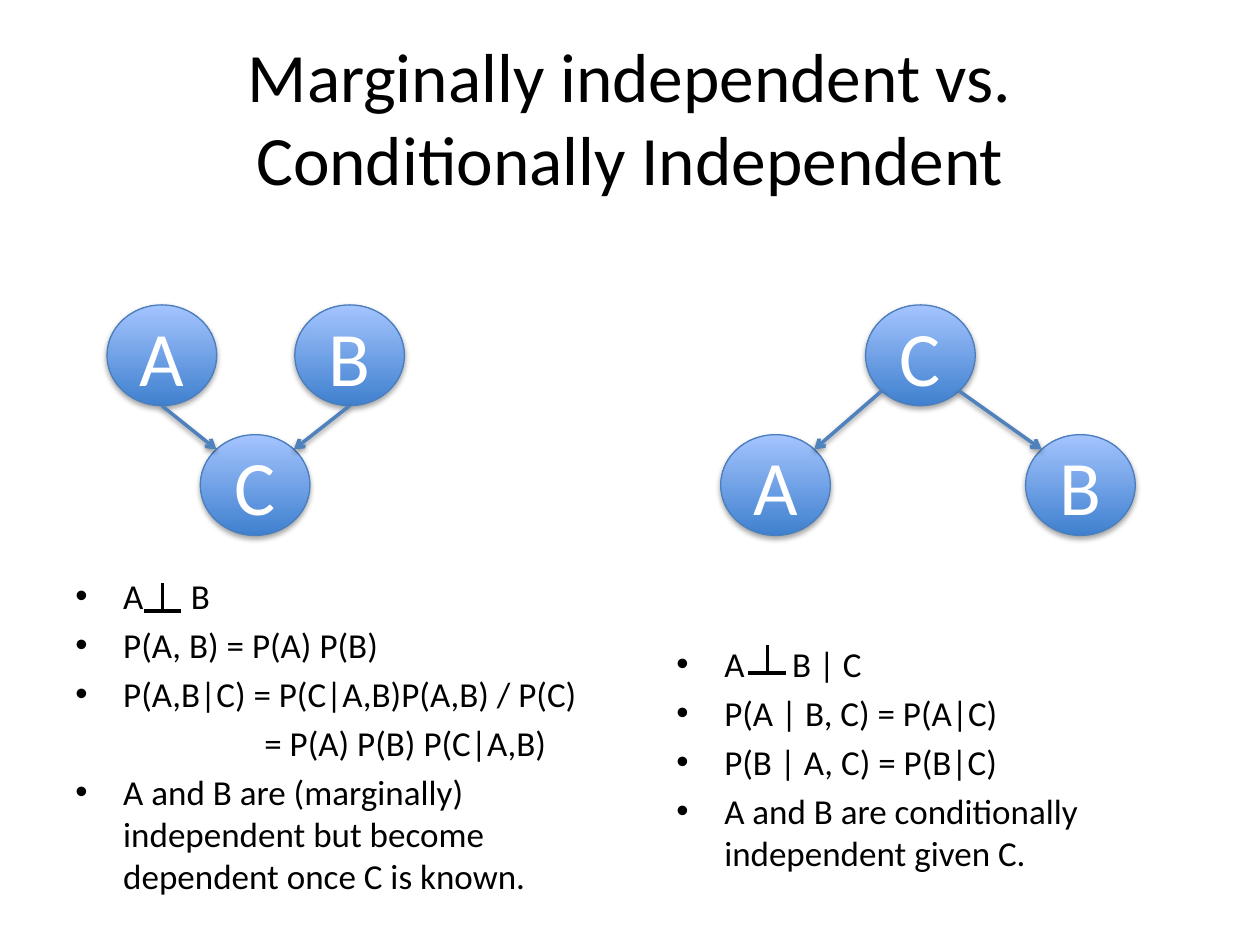
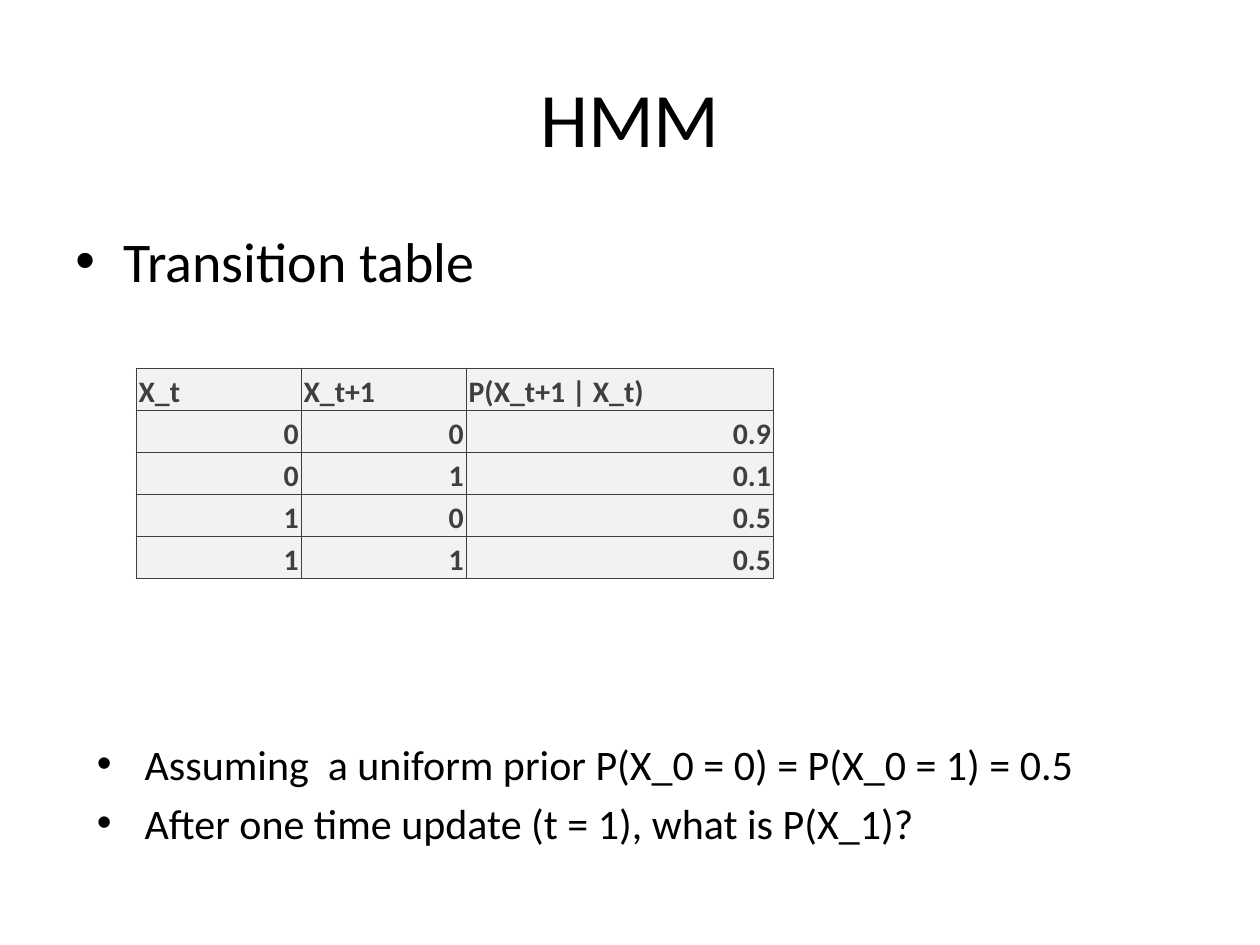
"""Build two slides on conditional independence and an HMM transition table."""
from math import cos, radians, sin

from lxml.etree import SubElement
from pptx import Presentation
from pptx.dml.color import RGBColor
from pptx.enum.shapes import MSO_CONNECTOR as Connector, MSO_SHAPE as Preset
from pptx.enum.text import MSO_ANCHOR as Anchor, PP_ALIGN as Align
from pptx.oxml.ns import qn
from pptx.util import Inches, Pt

FONT = "Calibri"
BLACK, WHITE = "000000", "FFFFFF"
NODE_BOTTOM, NODE_TOP, NODE_LINE, EDGE = "3F80CE", "A4C4FF", "4B7EBC", "4F81BD"
TABLE_INK, TABLE_FILL = "3F3F3F", "F2F2F2"
TITLE_BOX = (0.5, 0.3, 9, 1.25)
NODE_WIDTH, NODE_HEIGHT = 0.87, 0.8
UPPER, LOWER = 2.42, 3.45
HANG, CONTINUATION = 0.38, 1.5
GAP = "\u2003"
GAP_SPACING = 2260
BOTTOM, BOTTOM_LEFT, BOTTOM_RIGHT, TOP_LEFT, TOP_RIGHT = 180, 135, 225, 45, 315

NETWORKS = [
    {
        "nodes": {"A": (0.85, UPPER), "B": (2.34, UPPER), "C": (1.59, LOWER)},
        "edges": [("A", BOTTOM, "C", TOP_LEFT), ("B", BOTTOM, "C", TOP_RIGHT)],
        "box": (0.5, 4.51, 4.23, 2.76),
        "symbol": (1.14, 4.63),
        "notes": [
            ("A", GAP, "B"),
            ("P(A, B) = P(A) P(B)",),
            ("P(A,B|C) = P(C|A,B)P(A,B) / P(C)",),
            "= P(A) P(B) P(C|A,B)",
            ("A and B are (marginally) independent but become dependent once C is known.",),
        ],
    },
    {
        "nodes": {"C": (6.87, UPPER), "A": (5.72, LOWER), "B": (8.14, LOWER)},
        "edges": [("C", BOTTOM_LEFT, "A", TOP_RIGHT), ("C", BOTTOM_RIGHT, "B", TOP_LEFT)],
        "box": (5.27, 5.05, 4.23, 2),
        "symbol": (5.94, 5.12),
        "notes": [
            ("A", GAP, "B | C"),
            ("P(A | B, C) = P(A|C)",),
            ("P(B | A, C) = P(B|C)",),
            ("A and B are conditionally independent given C.",),
        ],
    },
]
TRANSITIONS = [
    ("X_t", "X_t+1", "P(X_t+1 | X_t)"),
    ("0", "0", "0.9"),
    ("0", "1", "0.1"),
    ("1", "0", "0.5"),
    ("1", "1", "0.5"),
]
COLUMN_WIDTHS = (1.31, 1.31, 2.44)
TABLE_BOX = (1.08, 2.92, sum(COLUMN_WIDTHS), 1.67)
HEADING = [("Transition table",)]
QUESTIONS = [
    ("Assuming  a uniform prior P(X_0 = 0) = P(X_0 = 1) = 0.5",),
    ("After one time update (t = 1), what is P(X_1)?",),
]


def color(value):
    return RGBColor.from_string(value)


def inches(values):
    return [Inches(value) for value in values]


def add_run(paragraph, text, size, ink=BLACK, bold=False):
    run = paragraph.add_run()
    run.text = text
    run.font.name, run.font.size, run.font.bold = FONT, Pt(size), bold
    run.font.color.rgb = color(ink)
    return run


def add_text_box(slide, box):
    frame = slide.shapes.add_textbox(*inches(box)).text_frame
    frame.word_wrap = True
    return frame


def add_title(slide, text, size):
    frame = add_text_box(slide, TITLE_BOX)
    frame.vertical_anchor = Anchor.MIDDLE
    paragraph = frame.paragraphs[0]
    paragraph.alignment = Align.CENTER
    add_run(paragraph, text, size)


def add_bullets(slide, box, items, size):
    """Tuples are bulleted lists of runs; a plain string continues the line above."""
    frame = add_text_box(slide, box)
    for index, item in enumerate(items):
        paragraph = frame.add_paragraph() if index else frame.paragraphs[0]
        paragraph.space_before = Pt(size * 0.2)
        properties = paragraph._p.get_or_add_pPr()
        if isinstance(item, str):
            properties.set("marL", str(Inches(CONTINUATION)))
            add_run(paragraph, item, size)
            continue
        properties.set("marL", str(Inches(HANG)))
        properties.set("indent", str(-Inches(HANG)))
        SubElement(properties, qn("a:buFont"), typeface="Arial")
        SubElement(properties, qn("a:buChar"), char="\u2022")
        for text in item:
            run = add_run(paragraph, " " if text == GAP else text, size)
            if text == GAP:
                run._r.get_or_add_rPr().set("spc", str(GAP_SPACING))


def add_shadow(effects, distance, alpha):
    shadow = SubElement(effects, qn("a:outerShdw"), blurRad=str(Pt(3.1)), dist=str(Pt(distance)),
                        dir="5400000", rotWithShape="0")
    ink = SubElement(shadow, qn("a:srgbClr"), val=BLACK)
    SubElement(ink, qn("a:alpha"), val=str(alpha * 1000))


def add_node(slide, label, corner):
    shape = slide.shapes.add_shape(Preset.OVAL, *inches((*corner, NODE_WIDTH, NODE_HEIGHT)))
    shape.fill.gradient()
    shape.fill.gradient_angle = 90
    for stop, value in zip(shape.fill.gradient_stops, (NODE_BOTTOM, NODE_TOP)):
        stop.color.rgb = color(value)
    shape.line.color.rgb = color(NODE_LINE)
    shape.line.width = Pt(0.75)
    shape.shadow.inherit = False
    add_shadow(shape._element.spPr.find(qn("a:effectLst")), 1.8, 35)
    shape.text_frame.vertical_anchor = Anchor.MIDDLE
    paragraph = shape.text_frame.paragraphs[0]
    paragraph.alignment = Align.CENTER
    add_run(paragraph, label, 44, WHITE)


def add_line(shapes, start, end, ink, arrow=False):
    connector = shapes.add_connector(Connector.STRAIGHT, *inches((*start, *end)))
    connector.line.color.rgb = color(ink)
    connector.line.width = Pt(2)
    effects = SubElement(connector._element.spPr, qn("a:effectLst"))
    if arrow:
        SubElement(connector.line._get_or_add_ln(), qn("a:tailEnd"), type="arrow")
        add_shadow(effects, 1.6, 38)


def rim_point(corner, angle):
    """Return the point on a node's rim, counted anticlockwise from its top."""
    left, top = corner
    return (left + NODE_WIDTH / 2 * (1 - sin(radians(angle))),
            top + NODE_HEIGHT / 2 * (1 - cos(radians(angle))))


def add_independence_symbol(slide, corner):
    left, top = corner
    width, height = 0.3, 0.22
    shapes = slide.shapes.add_group_shape().shapes
    add_line(shapes, (left, top + height), (left + width, top + height), BLACK)
    add_line(shapes, (left + width / 2, top), (left + width / 2, top + height), BLACK)


def add_network(slide, network):
    nodes = network["nodes"]
    for label, corner in nodes.items():
        add_node(slide, label, corner)
    for source, leave, target, enter in network["edges"]:
        add_line(slide.shapes, rim_point(nodes[source], leave),
                 rim_point(nodes[target], enter), EDGE, arrow=True)
    add_bullets(slide, network["box"], network["notes"], 20)
    add_independence_symbol(slide, network["symbol"])


def style_cell(cell):
    cell.vertical_anchor = Anchor.BOTTOM
    cell.margin_left = cell.margin_right = cell.margin_top = Inches(0.02)
    cell.margin_bottom = 0
    properties = cell._tc.get_or_add_tcPr()
    for side in ("lnL", "lnR", "lnT", "lnB"):
        line = SubElement(properties, qn("a:" + side), w=str(Pt(0.5)))
        SubElement(SubElement(line, qn("a:solidFill")), qn("a:srgbClr"), val=TABLE_INK)
    cell.fill.solid()
    cell.fill.fore_color.rgb = color(TABLE_FILL)


def add_transition_table(slide):
    frame = slide.shapes.add_table(len(TRANSITIONS), len(COLUMN_WIDTHS), *inches(TABLE_BOX))
    table = frame.table
    for column, width in zip(table.columns, COLUMN_WIDTHS):
        column.width = Inches(width)
    for row, values in enumerate(TRANSITIONS):
        for column, value in enumerate(values):
            cell = table.cell(row, column)
            style_cell(cell)
            paragraph = cell.text_frame.paragraphs[0]
            paragraph.alignment = Align.RIGHT if row else Align.LEFT
            add_run(paragraph, value, 17, TABLE_INK, bold=True)


presentation = Presentation()
presentation.slide_width, presentation.slide_height = inches((10, 7.5))
blank = presentation.slide_layouts[6]

slide = presentation.slides.add_slide(blank)
add_title(slide, "Marginally independent vs. Conditionally Independent", 39.6)
for network in NETWORKS:
    add_network(slide, network)

slide = presentation.slides.add_slide(blank)
add_title(slide, "HMM", 44)
add_bullets(slide, (0.5, 1.75, 3.55, 4.95), HEADING, 32)
add_transition_table(slide)
add_bullets(slide, (0.67, 5.81, 8.4, 1.05), QUESTIONS, 24)

presentation.save("out.pptx")
